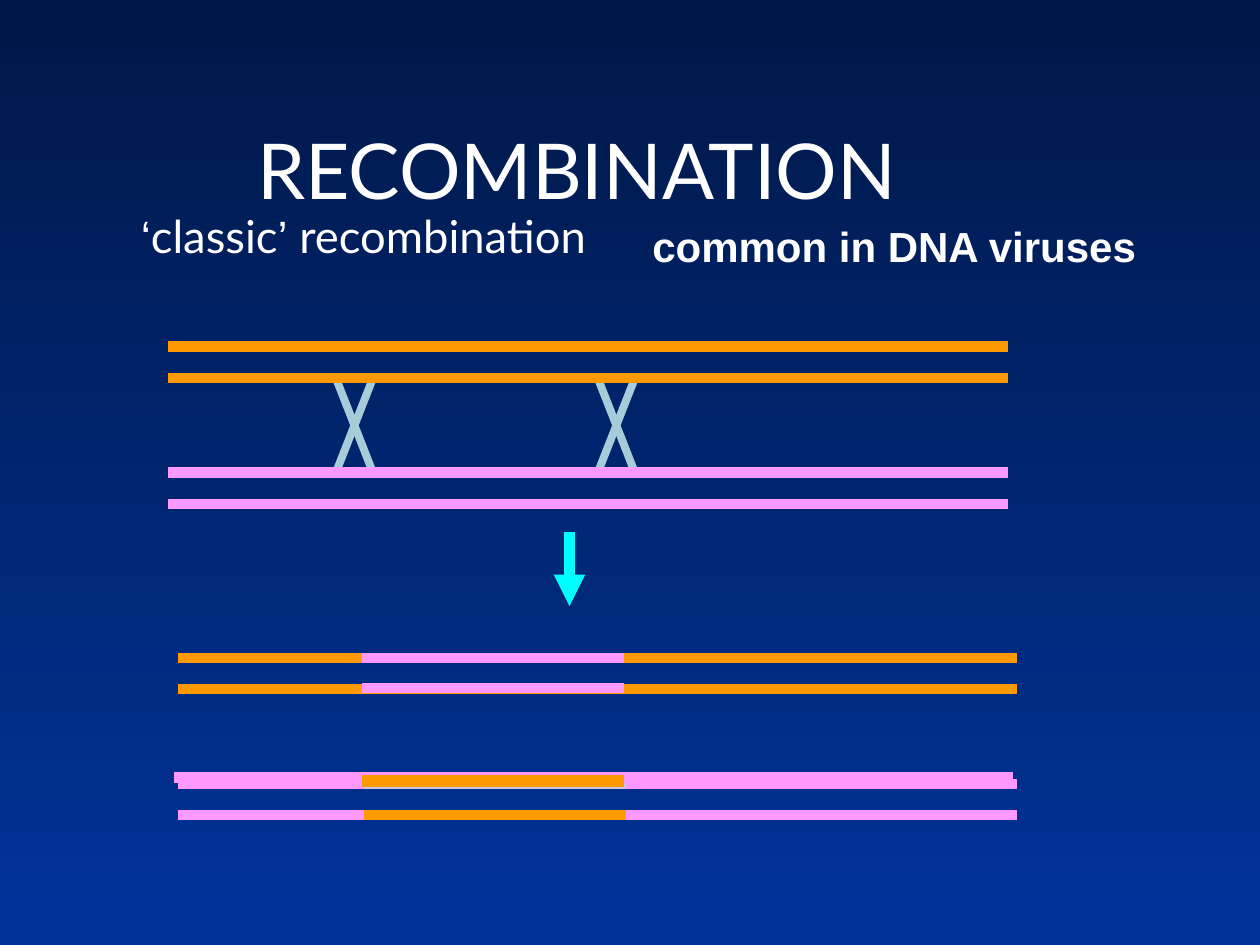
from dataclasses import dataclass

from lxml import etree
from pptx import Presentation
from pptx import util as u
from pptx.dml.color import RGBColor
from pptx.enum import shapes, text
from pptx.oxml import ns


@dataclass(frozen=True)
class Theme:
    sky_top: str = "001847"
    sky_bottom: str = "003399"
    ink: str = "FFFFFF"
    orange: str = "FF9900"
    pink: str = "FF99FF"
    crossing: str = "A7CCD9"
    edge: str = "C7C7DF"
    arrow: str = "00FFFF"
    heading_font: str = "Lato"
    plain_font: str = "Arial"
    title_size: float = 44
    subtitle_size: float = 25.9
    note_size: float = 24
    strand_width: float = 6
    patch_width: float = 6.75
    crossing_width: float = 4.5


THEME = Theme()
STRAND_LENGTH = 16.93
PATCH_LENGTH = 5.28
CROSSING_WIDTH = 0.75


def apply_format(target, values):
    for name, value in values.items():
        setattr(target, name, value)


def paint_background(slide):
    fill = slide.background.fill
    fill.gradient()
    fill.gradient_angle = 270
    colors = (THEME.sky_top, THEME.sky_bottom)
    for position, (stop, color) in enumerate(zip(fill.gradient_stops, colors)):
        stop.position = position
        stop.color.rgb = RGBColor.from_string(color)


def add_label(slide, box, runs, size, frame_format, paragraph_format, bold=False):
    label = slide.shapes.add_textbox(*(u.Cm(length) for length in box))
    apply_format(label.text_frame, {"word_wrap": True, **frame_format})
    paragraph = label.text_frame.paragraphs[0]
    apply_format(paragraph, paragraph_format)
    for wording, font_name in runs:
        run = paragraph.add_run()
        run.text = wording
        apply_format(run.font, {"name": font_name, "size": u.Pt(size), "bold": bold})
        run.font.color.rgb = RGBColor.from_string(THEME.ink)
    return paragraph


def add_line(slide, start, end, color, width=THEME.strand_width, arrow=False):
    points = (u.Cm(length) for length in (*start, *end))
    line = slide.shapes.add_connector(shapes.MSO_CONNECTOR.STRAIGHT, *points)
    line.line.color.rgb = RGBColor.from_string(color)
    line.line.width = u.Pt(width)
    properties = line._element.spPr
    if arrow:
        outline = properties.find(ns.qn("a:ln"))
        etree.SubElement(outline, ns.qn("a:tailEnd"), type="triangle")
    etree.SubElement(properties, ns.qn("a:effectLst"))


def add_strand(slide, left, y, color, length=STRAND_LENGTH, width=THEME.strand_width):
    add_line(slide, (left, y), (left + length, y), color, width)


def add_crossing(slide, left, top, bottom):
    right = left + CROSSING_WIDTH
    for start_y, end_y in ((bottom, top), (top, bottom)):
        add_line(slide, (left, start_y), (right, end_y),
                 THEME.crossing, THEME.crossing_width)


def add_headings(slide):
    heading, plain = THEME.heading_font, THEME.plain_font
    add_label(slide, (0.84, 1.27, 21.59, 3.18), [("RECOMBINATION", heading)],
              THEME.title_size, {"vertical_anchor": text.MSO_ANCHOR.BOTTOM},
              {"alignment": text.PP_ALIGN.CENTER})
    subtitle = add_label(
        slide, (2.59, 4.37, 10.8, 1.07),
        [("‘", plain), ("classic", heading), ("’", plain), (" recombination", heading)],
        THEME.subtitle_size, {}, {"line_spacing": 0.7})
    indent = u.Cm(0.95)
    apply_format(subtitle, {"space_before": u.Pt(0)})
    subtitle._p.get_or_add_pPr().set("marL", str(indent))
    subtitle._p.get_or_add_pPr().set("indent", str(-indent))
    add_label(slide, (12.9, 4.32, 10.52, 1.27), [("common in DNA viruses", plain)],
              THEME.note_size, {"auto_size": text.MSO_AUTO_SIZE.SHAPE_TO_FIT_TEXT},
              {}, bold=True)


def add_parents(slide):
    for left in (6.77, 12.05):
        add_crossing(slide, left, 7.62, 9.53)
    for y, color in ((7.62, THEME.orange), (9.53, THEME.pink),
                     (10.16, THEME.pink), (6.99, THEME.orange)):
        add_strand(slide, 3.39, y, color)


def add_recombinants(slide):
    for left, y, color in ((3.58, 13.26, THEME.orange), (3.58, 13.89, THEME.orange),
                           (3.58, 15.8, THEME.pink), (3.58, 16.43, THEME.pink)):
        add_strand(slide, left, y, color)
    add_strand(slide, 7.34, 15.8, THEME.edge, PATCH_LENGTH)
    add_strand(slide, 3.5, 15.67, THEME.pink)
    for left, y, color, width in (
        (7.29, 13.87, THEME.pink, THEME.strand_width),
        (7.29, 15.75, THEME.orange, THEME.patch_width),
        (7.29, 13.26, THEME.pink, THEME.strand_width),
        (7.34, 16.43, THEME.orange, THEME.strand_width),
    ):
        add_strand(slide, left, y, color, PATCH_LENGTH, width)


def main():
    deck = Presentation()
    apply_format(deck, {"slide_width": u.Cm(25.4), "slide_height": u.Cm(19.05)})
    slide = deck.slides.add_slide(deck.slide_layouts[6])
    paint_background(slide)
    add_headings(slide)
    add_parents(slide)
    add_line(slide, (11.48, 10.72), (11.48, 12.22), THEME.arrow, arrow=True)
    add_recombinants(slide)
    deck.save("out.pptx")


if __name__ == "__main__":
    main()
